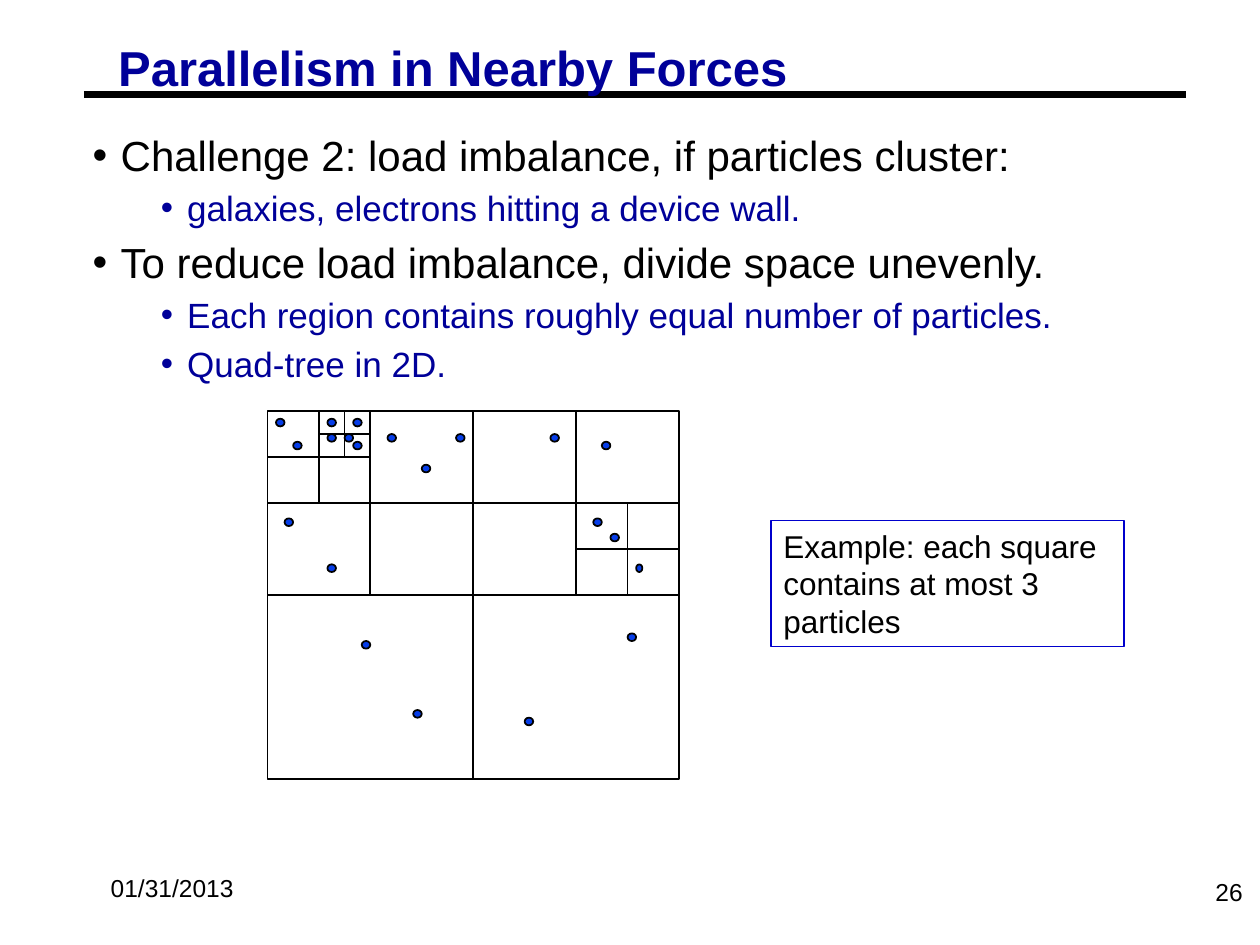
from pptx import Presentation
from pptx.dml.color import RGBColor
from pptx.enum.shapes import MSO_CONNECTOR, MSO_SHAPE
from pptx.enum.text import MSO_ANCHOR, PP_ALIGN
from pptx.oxml.ns import qn
from pptx.util import Pt
from lxml import etree


def paint(color_format, color):
    color_format.rgb = RGBColor.from_string(color)


def write(frame, text, size=14, color="000000", bold=False, align=PP_ALIGN.LEFT,
          before=0, spacing=None, margin=0, hanging=0, first=True):
    """Write one paragraph; a hanging indent gives it a bullet."""
    para = frame.paragraphs[0] if first else frame.add_paragraph()
    para.alignment = align
    para.space_before = Pt(0 if first else before)
    if spacing:
        para.line_spacing = spacing
    if hanging:
        properties = para._p.get_or_add_pPr()
        properties.set("marL", str(Pt(margin)))
        properties.set("indent", str(-Pt(hanging)))
        etree.SubElement(properties, qn("a:buFont")).set("typeface", "Arial")
        etree.SubElement(properties, qn("a:buChar")).set("char", "•")
    span = para.add_run()
    span.text = text
    span.font.name = "Arial"
    span.font.size = Pt(size)
    span.font.bold = bold
    paint(span.font.color, color)


deck = Presentation()
deck.slide_width, deck.slide_height = Pt(720), Pt(540)
page = deck.slides.add_slide(deck.slide_layouts[6])

# Quad-tree geometry: a field of 48 by 48 cells
FIELD_LEFT, FIELD_TOP = 152.8, 234.9
CELL_WIDTH, CELL_HEIGHT = 4.9, 4.38
CELLS = 48

# Rule under the title, then the dividing lines of the quad-tree
divisions = [
    (0, 24, 48, 24), (24, 0, 24, 48), (0, 12, 48, 12), (12, 0, 12, 24),
    (36, 0, 36, 24), (6, 0, 6, 12), (0, 6, 12, 6), (9, 0, 9, 6),
    (6, 3, 12, 3), (36, 18, 48, 18), (42, 12, 42, 24),
]
lines = [(48, 54, 678, 54, 3.75)]
for x1, y1, x2, y2 in divisions:
    lines.append((FIELD_LEFT + x1 * CELL_WIDTH, FIELD_TOP + y1 * CELL_HEIGHT,
                  FIELD_LEFT + x2 * CELL_WIDTH, FIELD_TOP + y2 * CELL_HEIGHT, 1))
for x1, y1, x2, y2, weight in lines:
    line = page.shapes.add_connector(MSO_CONNECTOR.STRAIGHT, Pt(x1), Pt(y1), Pt(x2), Pt(y2))
    line.line.width = Pt(weight)
    paint(line.line.color, "000000")
    etree.SubElement(line._element.spPr, qn("a:effectLst"))

# Frame, particles and example box: kind, left, top, width, height, fill, outline
outlines = [
    (MSO_SHAPE.RECTANGLE, FIELD_LEFT, FIELD_TOP,
     CELLS * CELL_WIDTH, CELLS * CELL_HEIGHT, None, "000000"),
]
particles = [
    (30, 40), (11, 30), (42, 29), (17, 39), (2, 14), (7, 20), (38, 14),
    (40, 16), (18, 7), (14, 3), (22, 3), (7, 1), (7, 3), (10, 1), (9, 3),
    (10, 4), (1, 1), (3, 4), (33, 3), (39, 4), (43, 20),
]
for column, row in particles:
    width = 3.6 if column == 43 else CELL_WIDTH
    outlines.append((MSO_SHAPE.OVAL, FIELD_LEFT + column * CELL_WIDTH,
                     FIELD_TOP + row * CELL_HEIGHT, width, CELL_HEIGHT,
                     "063DE8", "000000"))
outlines.append((MSO_SHAPE.RECTANGLE, 440.6, 297.4, 201.6, 72, None, "0000CC"))
for kind, left, top, width, height, fill, outline in outlines:
    shape = page.shapes.add_shape(kind, Pt(left), Pt(top), Pt(width), Pt(height))
    shape.shadow.inherit = False
    if fill:
        shape.fill.solid()
        paint(shape.fill.fore_color, fill)
    else:
        shape.fill.background()
    shape.line.width = Pt(1)
    paint(shape.line.color, outline)

# The example box is the last shape drawn
example = shape.text_frame
example.word_wrap = True
example.vertical_anchor = MSO_ANCHOR.TOP
write(example, "Example: each square contains at most 3 particles", size=18)

# Text boxes: left, top, width, height, side inset, top inset, anchor, paragraphs
main_point = dict(size=24, before=4.5, margin=16, hanging=16)
detail = dict(size=20, color="000099", before=3.7, margin=54, hanging=15)
texts = [
    (62.6, 23.8, 579, 33, 5, 2.2, MSO_ANCHOR.TOP,
     [("Parallelism in Nearby Forces",
       dict(size=28, color="000099", bold=True, spacing=0.87))]),
    (48, 72, 630, 150, 5, 2.2, MSO_ANCHOR.TOP,
     [("Challenge 2: load imbalance, if particles cluster:", main_point),
      ("galaxies, electrons hitting a device wall.", detail),
      ("To reduce load imbalance, divide space unevenly.", main_point),
      ("Each region contains roughly equal number of particles.", detail),
      ("Quad-tree in 2D.", detail)]),
    (56.2, 495.4, 92, 24.5, 7.2, 3.6, MSO_ANCHOR.TOP, [("01/31/2013", {})]),
    (567.4, 491.8, 149.8, 36, 7.2, 3.6, MSO_ANCHOR.MIDDLE,
     [("26", dict(align=PP_ALIGN.RIGHT))]),
]
for left, top, width, height, side, edge, anchor, paragraphs in texts:
    box = page.shapes.add_textbox(Pt(left), Pt(top), Pt(width), Pt(height))
    frame = box.text_frame
    frame.word_wrap = True
    frame.vertical_anchor = anchor
    frame.margin_left = frame.margin_right = Pt(side)
    frame.margin_top = frame.margin_bottom = Pt(edge)
    for index, (text, style) in enumerate(paragraphs):
        write(frame, text, first=index == 0, **style)

deck.save("out.pptx")
